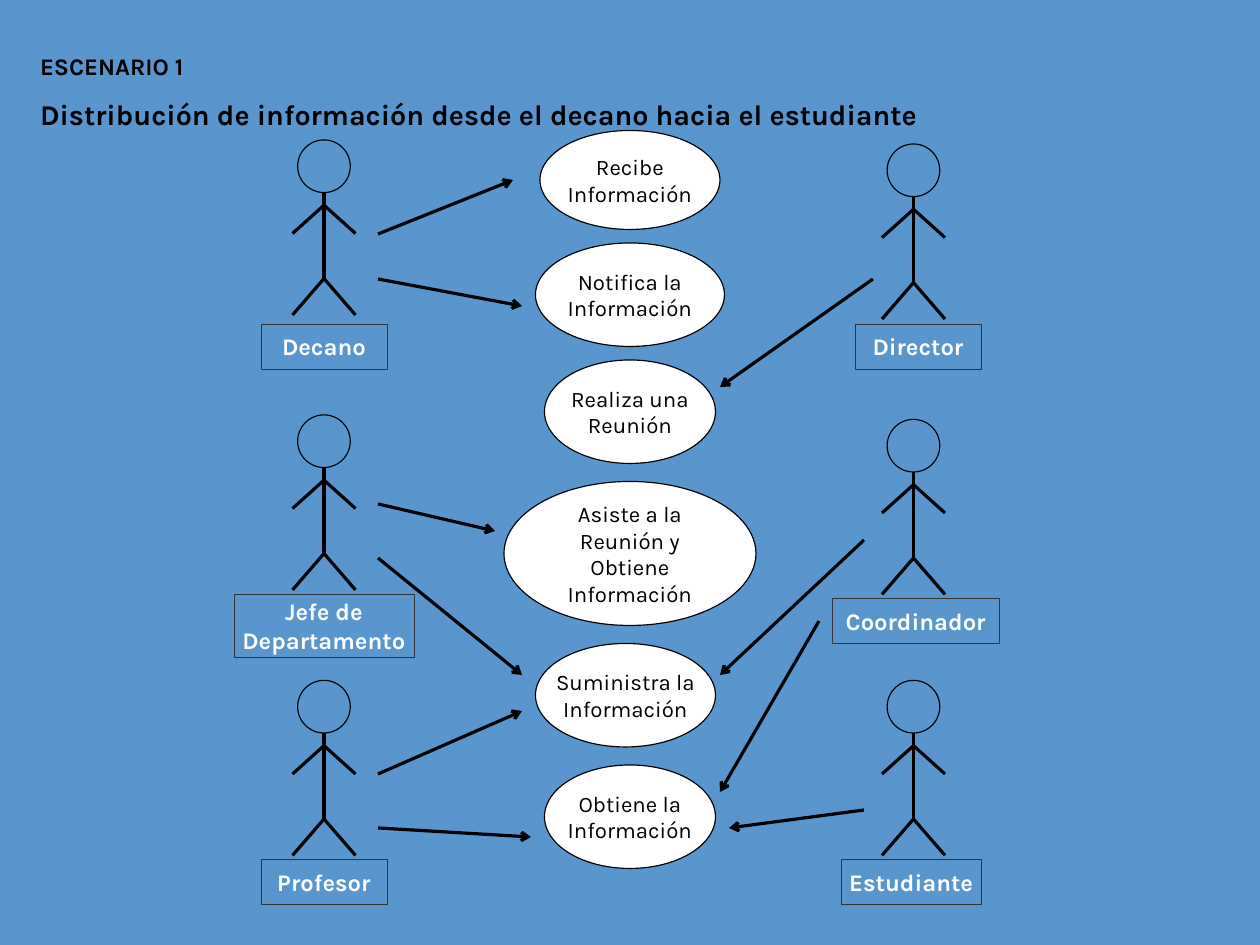
from lxml import etree
from pptx import Presentation
from pptx.dml.color import RGBColor
from pptx.enum import shapes, text
from pptx.oxml import ns
from pptx.util import Cm, Pt

FONT = "Karla"
BLUE = RGBColor(0x59, 0x96, 0xCD)
BLACK = RGBColor(0, 0, 0)
WHITE = RGBColor(0xFF, 0xFF, 0xFF)
GREY = RGBColor(0x33, 0x33, 0x33)

# Content, all lengths in cm
HEADING = [
    ("ESCENARIO 1", 15),
    ("Distribución de información desde el decano hacia el estudiante", 18),
]

# Use cases: lines, centre x, top, width, height
USE_CASES = [
    (["Recibe", "Información"], 14, 2.9, 4, 2.2),
    (["Notifica la", "Información"], 14, 5.4, 4.2, 2.3),
    (["Realiza una", "Reunión"], 14, 8, 3.8, 2.3),
    (["Asiste a la", "Reunión y", "Obtiene", "Información"], 14, 10.7, 5.6, 3.2),
    (["Suministra la", "Información"], 13.9, 14.3, 4, 2.3),
    (["Obtiene la", "Información"], 14, 17, 3.8, 2.3),
]

# Actors: label lines, centre x, top of head, label left, top, width, height
LEFT_X, RIGHT_X = 7.2, 20.3
ACTORS = [
    (["Decano"], LEFT_X, 3.11, (5.8, 7.2, 2.8, 1)),
    (["Director"], RIGHT_X, 3.2, (19, 7.2, 2.8, 1)),
    (["Jefe de", "Departamento"], LEFT_X, 9.22, (5.2, 13.2, 4, 1.4)),
    (["Coordinador"], RIGHT_X, 9.32, (18.5, 13.3, 3.7, 1)),
    (["Profesor"], LEFT_X, 15.12, (5.8, 19.1, 2.8, 1)),
    (["Estudiante"], RIGHT_X, 15.12, (18.7, 19.1, 3.1, 1)),
]

# Stick figure, measured from the top of the head
HEAD = 1.17
SHOULDER, HAND, HIP, FOOT, REACH = 1.45, 2.08, 3.08, 3.89, 0.7
LIMBS = [
    (0, HEAD, 0, HIP),
    (0, SHOULDER, -REACH, HAND),
    (0, SHOULDER, REACH, HAND),
    (0, HIP, -REACH, FOOT),
    (0, HIP, REACH, FOOT),
]

# Arrows: start x, start y, end x, end y
ARROWS = [
    (8.4, 5.2, 11.4, 4),
    (8.4, 6.2, 11.6, 6.8),
    (19.4, 6.2, 16, 8.6),
    (8.4, 12.4, 11.6, 15),
    (8.4, 11.2, 11, 11.8),
    (8.4, 17.2, 11.6, 15.8),
    (8.4, 18.4, 11.8, 18.6),
    (19.2, 12, 16, 15),
    (18.2, 13.8, 16, 17.6),
    (19.2, 18, 16.2, 18.4),
]


def add_outline(parent, kind, box, fill=None, color=BLACK, width=0):
    outline = parent.add_shape(kind, *map(Cm, box))
    outline.shadow.inherit = False
    if fill is None:
        outline.fill.background()
    else:
        outline.fill.solid()
        outline.fill.fore_color.rgb = fill
    outline.line.color.rgb = color
    outline.line.width = Pt(width)
    return outline


def add_line(parent, ends, arrow=False):
    line = parent.add_connector(shapes.MSO_CONNECTOR.STRAIGHT, *map(Cm, ends))
    line.line.color.rgb = BLACK
    line.line.width = Pt(0)
    if arrow:
        etree.SubElement(line.line._get_or_add_ln(), ns.qn("a:tailEnd"), type="arrow")
    etree.SubElement(line._element.spPr, ns.qn("a:effectLst"))


def write(frame, lines, color, bold, align, spacing=1.0):
    for i, (words, size) in enumerate(lines):
        paragraph = frame.paragraphs[0] if i == 0 else frame.add_paragraph()
        paragraph.text = words
        paragraph.alignment = align
        paragraph.line_spacing = spacing
        paragraph.font.name = FONT
        paragraph.font.size = Pt(size)
        paragraph.font.bold = bold
        paragraph.font.color.rgb = color


def write_centred(outline, lines, size, color, bold):
    frame = outline.text_frame
    frame.word_wrap = False
    frame.vertical_anchor = text.MSO_ANCHOR.MIDDLE
    write(frame, [(words, size) for words in lines], color, bold, text.PP_ALIGN.CENTER)


def main():
    prs = Presentation()
    prs.slide_width, prs.slide_height = Cm(28), Cm(21)
    slide = prs.slides.add_slide(prs.slide_layouts[6])
    slide.background.fill.solid()
    slide.background.fill.fore_color.rgb = BLUE
    canvas = slide.shapes

    # Heading
    heading = canvas.add_textbox(Cm(0.64), Cm(0.7), Cm(22.55), Cm(1.9)).text_frame
    heading.word_wrap = True
    write(heading, HEADING, BLACK, True, text.PP_ALIGN.LEFT, 1.5)

    # Use cases
    for lines, x, top, width, height in USE_CASES:
        box = (x - width / 2, top, width, height)
        use_case = add_outline(canvas, shapes.MSO_SHAPE.OVAL, box, WHITE)
        write_centred(use_case, lines, 14, BLACK, False)

    # Actors with their labels
    for lines, x, top, label_box in ACTORS:
        figure = canvas.add_group_shape().shapes
        add_outline(figure, shapes.MSO_SHAPE.OVAL, (x - HEAD / 2, top, HEAD, HEAD))
        for x1, y1, x2, y2 in LIMBS:
            add_line(figure, (x + x1, top + y1, x + x2, top + y2))
        label = add_outline(canvas, shapes.MSO_SHAPE.RECTANGLE, label_box, None, GREY, 0.5)
        write_centred(label, lines, 15, WHITE, True)

    # Links between actors and use cases
    for ends in ARROWS:
        add_line(canvas, ends, arrow=True)

    prs.save("out.pptx")


if __name__ == "__main__":
    main()
